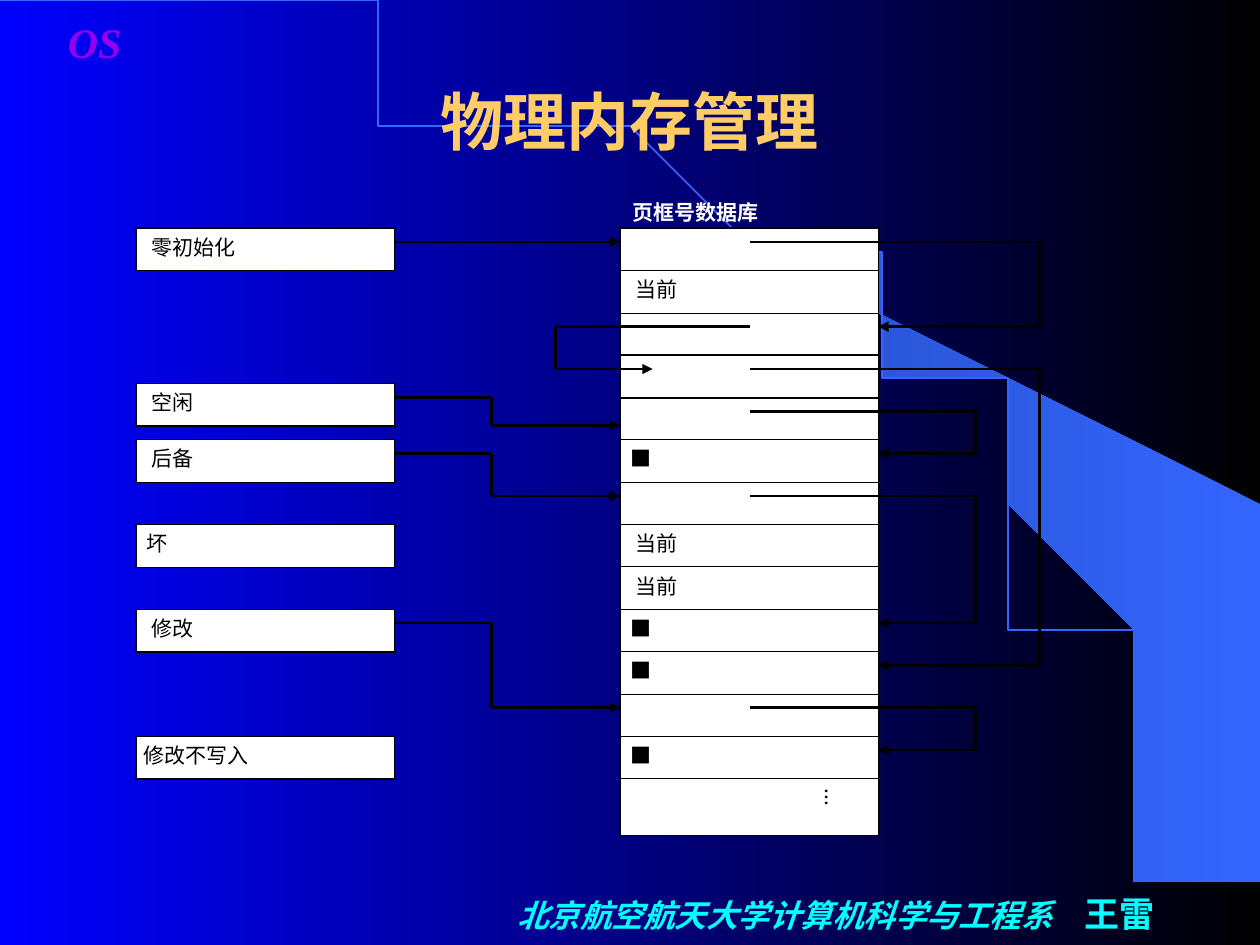
import dataclasses
import itertools

import lxml.etree
import pptx
import pptx.dml.color
import pptx.enum.shapes
import pptx.enum.text
import pptx.oxml.ns
import pptx.util

Inches = pptx.util.Inches
Pt = pptx.util.Pt
PP_ALIGN = pptx.enum.text.PP_ALIGN
MSO_ANCHOR = pptx.enum.text.MSO_ANCHOR
qn = pptx.oxml.ns.qn


@dataclasses.dataclass(frozen=True)
class Theme:
    black: str = "000000"
    white: str = "FFFFFF"
    blue: str = "0000FF"
    band: str = "3366FF"
    band_dark: str = "2851CB"
    gold: str = "FFCC66"
    cyan: str = "00FFFF"
    purple: str = "9400ED"
    serif: str = "Times New Roman"
    sans: str = "Arial"
    cjk: str = "Noto Sans CJK SC"
    title: int = 36
    mark: int = 24
    author: int = 20
    footer: int = 18
    body: int = 12
    border: float = 0.75
    arc: float = 1
    arrow: float = 1.5


def rgb(value):
    return pptx.dml.color.RGBColor.from_string(value)


def add_text(p, text, *, size, color, font, ea, bold=False, italic=False):
    r = p.add_run()
    r.text = text
    r.font.size = Pt(size)
    r.font.bold = bold
    r.font.italic = italic
    r.font.color.rgb = rgb(color)
    r.font.name = font
    lxml.etree.SubElement(r.font._element, qn("a:ea"), typeface=ea)


def fill_gradient(fill, start, end):
    fill.gradient()
    fill.gradient_angle = 180
    for stop, color, position in zip(fill.gradient_stops, (start, end), (0, 1)):
        stop.color.rgb = rgb(color)
        stop.position = position


class Deck:
    def __init__(self, slide, theme):
        self.s = slide
        self.theme = theme

    def background(self):
        fill_gradient(self.s.background.fill, self.theme.black, self.theme.blue)

    def freeform(self, points, closed):
        fb = self.s.shapes.build_freeform(*points[0], scale=Inches(1))
        fb.add_line_segments(points[1:], close=closed)
        sp = fb.convert_to_shape()
        sp.shadow.inherit = False
        return sp

    def band(self, points):
        sp = self.freeform(points, True)
        fill_gradient(sp.fill, self.theme.band, self.theme.band_dark)
        sp.line.fill.background()

    def arc(self, points):
        sp = self.freeform(points, False)
        sp.fill.background()
        sp.line.color.rgb = rgb(self.theme.band)
        sp.line.width = Pt(self.theme.arc)

    def frame(self, sp, insets, align, anchor):
        tf = sp.text_frame
        tf.word_wrap = True
        tf.margin_left, tf.margin_top, tf.margin_right, tf.margin_bottom = map(Inches, insets)
        tf.vertical_anchor = anchor
        p = tf.paragraphs[0]
        p.alignment = align
        return p

    def label(self, box, runs, insets=(0.1, 0.05, 0.1, 0.05),
              align=PP_ALIGN.LEFT, anchor=MSO_ANCHOR.TOP):
        sp = self.s.shapes.add_textbox(*map(Inches, box))
        p = self.frame(sp, insets, align, anchor)
        for text, style in runs:
            add_text(p, text, ea=self.theme.cjk, **style)

    def box(self, x, y, w, h, text="", insets=(0.12, 0.05, 0.1, 0.05), font=None):
        t = self.theme
        sp = self.s.shapes.add_shape(
            pptx.enum.shapes.MSO_SHAPE.RECTANGLE, *map(Inches, (x, y, w, h)))
        sp.shadow.inherit = False
        sp.fill.solid()
        sp.fill.fore_color.rgb = rgb(t.white)
        sp.line.color.rgb = rgb(t.black)
        sp.line.width = Pt(t.border)
        if text:
            p = self.frame(sp, insets, PP_ALIGN.JUSTIFY, MSO_ANCHOR.TOP)
            add_text(p, text, size=t.body, color=t.black, font=font or t.serif, ea=t.cjk)
        return sp

    def route(self, *points):
        for start, end in itertools.pairwise(points):
            c = self.s.shapes.add_connector(
                pptx.enum.shapes.MSO_CONNECTOR.STRAIGHT, *map(Inches, start + end))
            c.line.color.rgb = rgb(self.theme.black)
            c.line.width = Pt(self.theme.arrow)
            if end == points[-1]:
                lxml.etree.SubElement(c.line._get_or_add_ln(), qn("a:tailEnd"), type="triangle")
            lxml.etree.SubElement(c._element.spPr, qn("a:effectLst"))


BAND = [(9.2, 7.48), (9.99, 7.49), (9.99, 4.23), (5.89, 1.73), (6.24, 1.99), (6.53, 2.22),
        (6.85, 2.5), (7.16, 2.8), (7.62, 3.3), (8.03, 3.84), (8.32, 4.31), (8.58, 4.79),
        (8.78, 5.28), (8.93, 5.72), (9.03, 6.09), (9.13, 6.56), (9.17, 6.96)]
LIST_X, FRAME_X, BOX_W, ROW_H = 1.08, 4.92, 2.05, 0.34
TOP, PITCH = 1.81, 4.37 / 13
LIST_RIGHT, FRAME_MID, FRAME_RIGHT = 3.13, 5.95, 6.97
ELBOW, NEAR, FAR, LEFT_LOOP = 3.9, 7.74, 8.25, 4.41
NARROW = (0.08, 0.05, 0.1, 0.05)


def row_y(row):
    return TOP + row * PITCH


def line_y(row):
    return row_y(row) + 0.11


def arc_points(steps=60):
    points = []
    for i in range(steps + 1):
        t = i / steps
        u = 1 - t
        points.append((3 * u * u * t * 5.08 + 3 * u * t * t * 9.2 + t ** 3 * 9.2,
                       3 * u * t * t * 3.35 + t ** 3 * 7.49))
    return points


def draw_backdrop(deck, t):
    deck.background()
    deck.band(BAND)
    deck.arc(arc_points())
    footer = dict(color=t.cyan, font=t.serif, bold=True)
    deck.label((3.83, 7, 5.53, 0.5),
               [("北京航空航天大学计算机科学与工程系　", dict(footer, size=t.footer, italic=True)),
                ("王雷", dict(footer, size=t.author))],
               insets=(0.18, 0.05, 0.1, 0.05), align=PP_ALIGN.CENTER, anchor=MSO_ANCHOR.MIDDLE)
    deck.label((0.44, 0.08, 0.83, 0.42),
               [("OS", dict(size=t.mark, color=t.purple, font=t.serif, bold=True, italic=True))])
    deck.label((0.75, 0.33, 8.5, 1.25),
               [("物理内存管理", dict(size=t.title, color=t.gold, font=t.sans, bold=True))],
               align=PP_ALIGN.CENTER, anchor=MSO_ANCHOR.MIDDLE)


def draw_frames(deck, t):
    deck.box(FRAME_X, TOP, BOX_W, 4.82)
    deck.label((FRAME_X, 1.58, BOX_W, 0.22),
               [("页框号数据库", dict(size=t.body, color=t.white, font=t.serif, bold=True))],
               insets=(0.1, 0, 0.1, 0), align=PP_ALIGN.JUSTIFY)
    deck.box(FRAME_X, row_y(3), BOX_W, ROW_H)
    for row in (1, 7, 8):
        deck.box(FRAME_X, row_y(row), BOX_W, ROW_H, "当前")
    for row in (5, 9, 10, 12):
        deck.box(FRAME_X, row_y(row), BOX_W, ROW_H, "■", NARROW, t.cjk)
    more = deck.box(FRAME_X, row_y(13), BOX_W, 0.45, "...", (0.05, 0.08, 0.33, 0.14), t.cjk)
    more.text_frame._txBody.bodyPr.set("vert", "eaVert")


def draw_lists(deck):
    wide, tight = (0.12, 0.05, 0.1, 0.05), (0.06, 0.05, 0.06, 0.05)
    for text, row, insets in (("零初始化", 0, wide), ("空闲", 11 / 3, wide), ("后备", 5, wide),
                              ("坏", 7, NARROW), ("修改", 9, wide), ("修改不写入", 12, tight)):
        deck.box(LIST_X, row_y(row), BOX_W, ROW_H, text, insets)


def draw_links(deck):
    deck.route((LIST_RIGHT, line_y(0)), (FRAME_X, line_y(0)))
    for start, end in ((11 / 3, 13 / 3), (5, 6), (9, 11)):
        a, b = line_y(start), line_y(end)
        deck.route((LIST_RIGHT, a), (ELBOW, a), (ELBOW, b), (FRAME_X, b))
    for start, end, bend, target in ((0, 2, FAR, FRAME_RIGHT), (2, 3, LEFT_LOOP, 5.18),
                                     (3, 10, FAR, FRAME_RIGHT), (4, 5, NEAR, FRAME_RIGHT),
                                     (6, 9, NEAR, FRAME_RIGHT), (11, 12, NEAR, FRAME_RIGHT)):
        a, b = line_y(start), line_y(end)
        deck.route((FRAME_MID, a), (bend, a), (bend, b), (target, b))


def main():
    prs = pptx.Presentation()
    prs.slide_width, prs.slide_height = Inches(10), Inches(7.5)
    theme = Theme()
    deck = Deck(prs.slides.add_slide(prs.slide_layouts[6]), theme)
    draw_backdrop(deck, theme)
    draw_frames(deck, theme)
    draw_lists(deck)
    draw_links(deck)
    prs.save("out.pptx")


if __name__ == "__main__":
    main()
